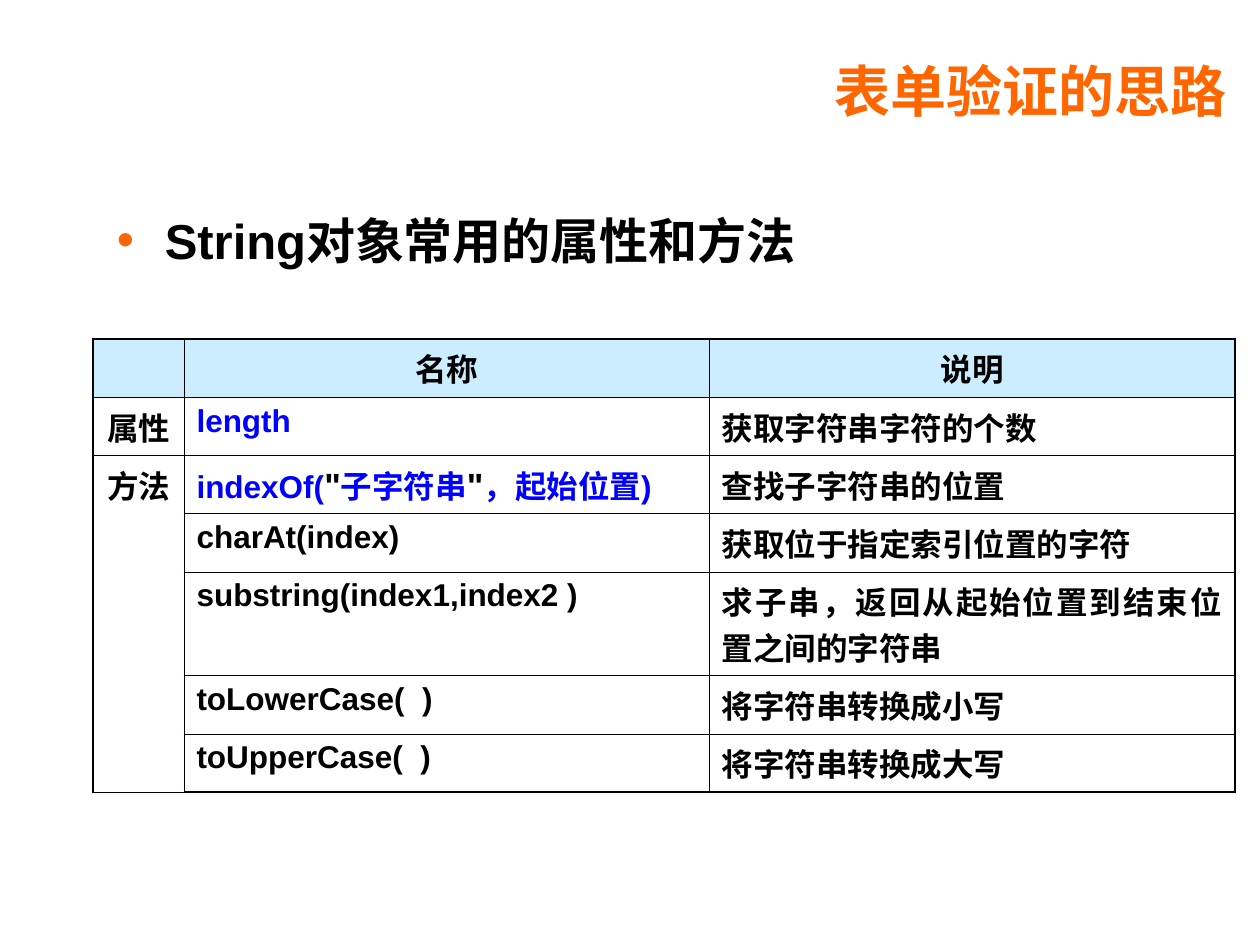
from lxml.etree import SubElement
from pptx import Presentation
from pptx.dml.color import RGBColor
from pptx.enum.text import MSO_ANCHOR, PP_ALIGN
from pptx.oxml.ns import qn
from pptx.util import Inches, Pt

LATIN, HAN = "Arial", "Noto Sans CJK SC"
BLACK, BLUE, ORANGE = "000000", "0000FF", "FF6600"
HEAD, WHITE = "CCECFF", "FFFFFF"
THIN, THICK = 0.45, 1.08

COLS = [0.72, 4.17, 4.17]
ROWS = [0.4, 0.4, 0.43, 0.4, 0.7, 0.4, 0.4]
# A list holds runs as (text, size, colour)
INDEX = [("indexOf(", 18, BLUE), ('"', 20, BLACK), ("子字符串", 18, BLUE),
         ('"', 20, BLACK), ("，起始位置)", 18, BLUE)]
DATA = [
    ("", "名称", "说明"),
    ("属性", "length", "获取字符串字符的个数"),
    ("方法", INDEX, "查找子字符串的位置"),
    ("", "charAt(index)", "获取位于指定索引位置的字符"),
    ("", "substring(index1,index2 )", "求子串，返回从起始位置到结束位置之间的字符串"),
    ("", "toLowerCase(  )", "将字符串转换成小写"),
    ("", "toUpperCase(  )", "将字符串转换成大写"),
]


def rgb(code):
    return RGBColor.from_string(code)


def style(para, size, color, name=LATIN, align=PP_ALIGN.LEFT):
    para.alignment = align
    font = para.font
    font.name, font.bold = name, True
    if size:
        font.size, font.color.rgb = Pt(size), rgb(color)
    SubElement(font._element, qn("a:ea"), typeface=HAN)


def add_title(slide):
    title = slide.shapes.title
    title.left, title.top = Inches(3.03), Inches(0.36)
    title.width, title.height = Inches(6.81), Inches(0.71)
    frame = title.text_frame
    frame.text = "表单验证的思路"
    frame.vertical_anchor = MSO_ANCHOR.MIDDLE
    style(frame.paragraphs[0], 32, ORANGE, HAN, PP_ALIGN.RIGHT)


def add_point(slide, text):
    box = slide.shapes.add_textbox(Inches(0.83), Inches(1.62),
                                   Inches(8.84), Inches(4.95))
    frame = box.text_frame
    frame.word_wrap = True
    para = frame.paragraphs[0]
    para.text = text
    # Hanging orange bullet
    props = para._p.get_or_add_pPr()
    props.set("marL", str(Inches(0.38)))
    props.set("indent", str(-Inches(0.38)))
    tint = SubElement(props, qn("a:buClr"))
    SubElement(tint, qn("a:srgbClr"), val=ORANGE)
    SubElement(props, qn("a:buFont"), typeface=LATIN)
    SubElement(props, qn("a:buChar"), char="•")
    style(para, 28, BLACK)


def set_edges(cell, row, col):
    # Outer edges are thick, inner ones thin; borders precede the fill
    outer = {"lnL": col == 0, "lnR": col == len(COLS) - 1,
             "lnT": row == 0, "lnB": row == len(ROWS) - 1}
    props = cell._tc.get_or_add_tcPr()
    for tag, edge in outer.items():
        line = SubElement(props, qn("a:" + tag),
                          w=str(Pt(THICK if edge else THIN)))
        fill = SubElement(line, qn("a:solidFill"))
        SubElement(fill, qn("a:srgbClr"), val=BLACK)


def fill_cell(cell, row, col, value):
    set_edges(cell, row, col)
    cell.fill.solid()
    cell.fill.fore_color.rgb = rgb(WHITE if row else HEAD)
    para = cell.text_frame.paragraphs[0]
    if row == 0 or col == 0:
        align = PP_ALIGN.CENTER
    else:
        align = PP_ALIGN.LEFT if row == 1 else PP_ALIGN.JUSTIFY
    name = LATIN if row == 0 or col == 1 else HAN
    if isinstance(value, list):
        style(para, None, None, name, align)
        for text, size, color in value:
            run = para.add_run()
            run.text = text
            run.font.size, run.font.color.rgb = Pt(size), rgb(color)
    else:
        para.text = value
        style(para, 18, BLUE if value == "length" else BLACK, name, align)


def add_grid(slide):
    frame = slide.shapes.add_table(len(ROWS), len(COLS), Inches(0.74), Inches(2.69),
                                   Inches(sum(COLS)), Inches(sum(ROWS)))
    table = frame.table
    table.first_row = table.horz_banding = False
    for col, width in zip(table.columns, COLS):
        col.width = Inches(width)
    for row, height in zip(table.rows, ROWS):
        row.height = Inches(height)
    for r, line in enumerate(DATA):
        for c, value in enumerate(line):
            fill_cell(table.cell(r, c), r, c, value)
    table.cell(1, 0).vertical_anchor = MSO_ANCHOR.MIDDLE
    # The methods label spans all method rows
    table.cell(2, 0).merge(table.cell(len(ROWS) - 1, 0))


def main():
    deck = Presentation()
    deck.slide_width, deck.slide_height = Inches(10), Inches(7.5)
    slide = deck.slides.add_slide(deck.slide_layouts[5])
    add_title(slide)
    add_grid(slide)
    add_point(slide, "String对象常用的属性和方法")
    deck.save("out.pptx")


if __name__ == "__main__":
    main()
